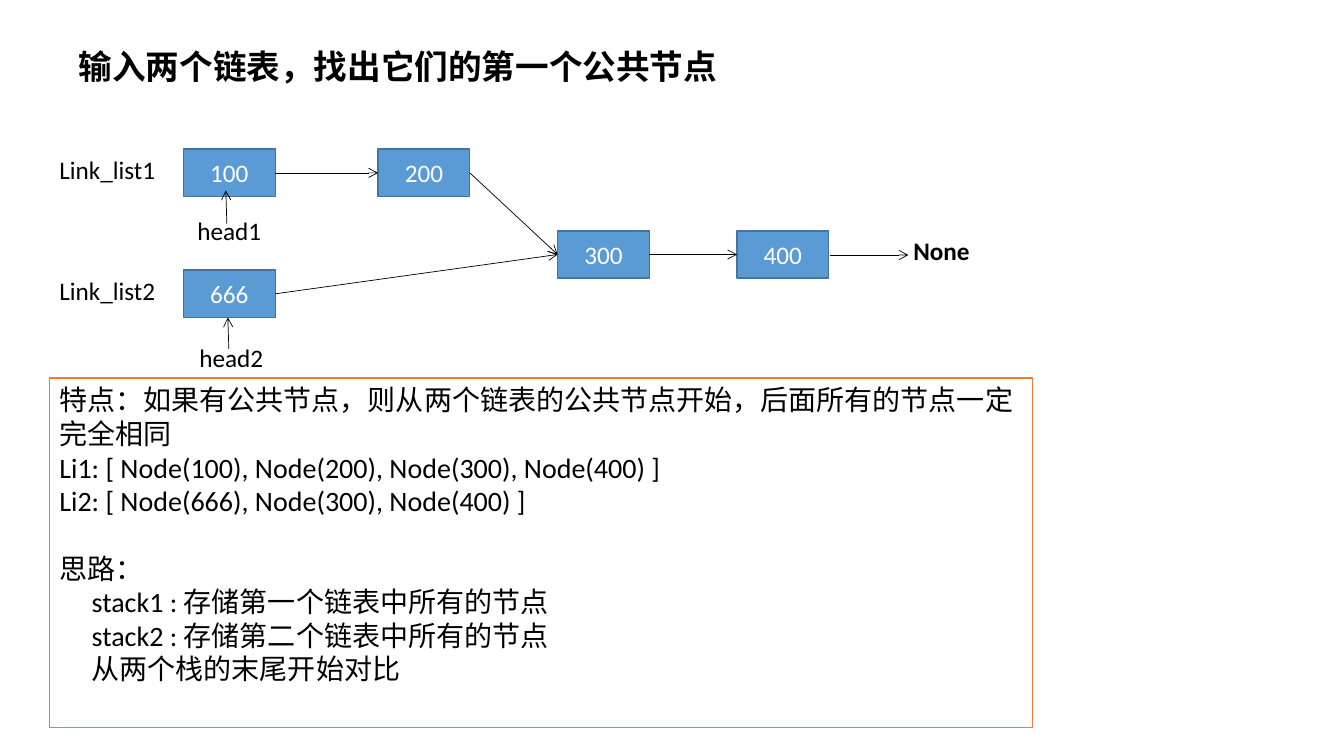
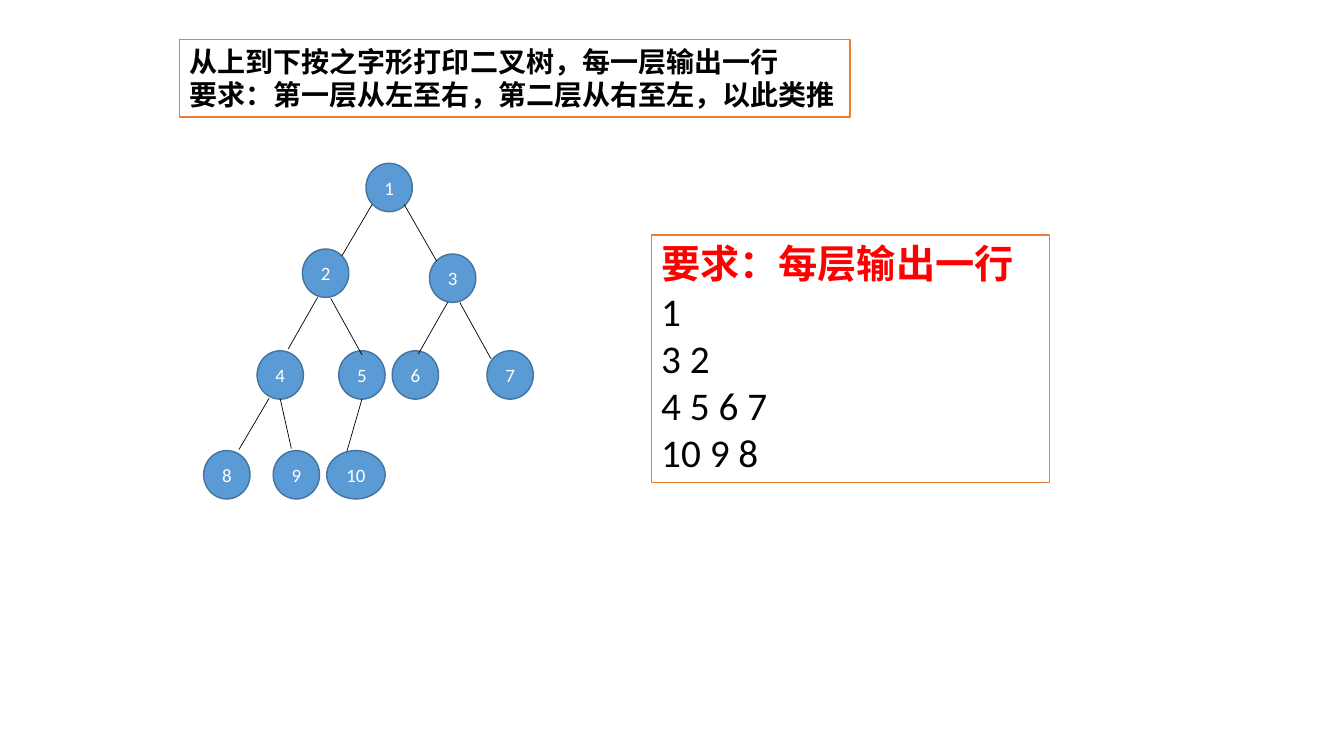
from lxml import etree
from pptx import Presentation
from pptx.dml.color import RGBColor
from pptx.enum.shapes import MSO_CONNECTOR, MSO_SHAPE
from pptx.enum.text import MSO_ANCHOR, MSO_AUTO_SIZE, PP_ALIGN
from pptx.oxml.ns import qn
from pptx.util import Inches, Pt

RECTANGLE = MSO_SHAPE.RECTANGLE
OVAL = MSO_SHAPE.OVAL
STRAIGHT = MSO_CONNECTOR.STRAIGHT
TOP = MSO_ANCHOR.TOP
MIDDLE = MSO_ANCHOR.MIDDLE
LEFT = PP_ALIGN.LEFT
CENTER = PP_ALIGN.CENTER
NO_AUTOFIT = MSO_AUTO_SIZE.NONE

BLACK = RGBColor(0x00, 0x00, 0x00)
WHITE = RGBColor(0xFF, 0xFF, 0xFF)
RED = RGBColor(0xFF, 0x00, 0x00)
BLUE = RGBColor(0x5B, 0x9B, 0xD5)
DARK_BLUE = RGBColor(0x43, 0x73, 0x9E)
ORANGE = RGBColor(0xED, 0x7D, 0x31)

FONT = "Calibri"
CJK_FONT = "Noto Sans CJK SC"
TITLE_ONLY = 5
LEFT_SITE, RIGHT_SITE = 1, 3
NODE_WIDTH, NODE_HEIGHT = 0.91, 0.47
CIRCLE_WIDTH, CIRCLE_HEIGHT = 0.46, 0.48


def box(left, top, width, height):
    return [Inches(value) for value in (left, top, width, height)]


def write_line(paragraph, text, size=18, color=BLACK, bold=False, align=LEFT,
               font=FONT, indent=0, space_before=0):
    paragraph.alignment = align
    paragraph.space_before = Pt(space_before)
    if indent:
        properties = paragraph._p.get_or_add_pPr()
        properties.set("marL", str(Inches(indent)))
        properties.set("indent", "0")
    run = paragraph.add_run()
    run.text = text
    run.font.name = font
    run.font.size = Pt(size)
    run.font.bold = bold
    run.font.color.rgb = color
    east_asian = etree.SubElement(run._r.get_or_add_rPr(), qn("a:ea"))
    east_asian.set("typeface", FONT)


def write_lines(shape, lines, anchor=TOP, wrap=True, **defaults):
    frame = shape.text_frame
    frame.auto_size = NO_AUTOFIT
    frame.word_wrap = wrap
    frame.vertical_anchor = anchor
    for index, (text, changes) in enumerate(lines):
        paragraph = frame.add_paragraph() if index else frame.paragraphs[0]
        write_line(paragraph, text, **{**defaults, **changes})


def paint(shape, fill, line):
    shape.fill.solid()
    shape.fill.fore_color.rgb = fill
    shape.line.color.rgb = line
    shape.line.width = Pt(1)


def place_title(slide, position, lines, **text_format):
    title = slide.shapes.title
    title.left, title.top, title.width, title.height = box(*position)
    write_lines(title, [(line, {}) for line in lines], wrap=False, bold=True,
                **text_format)
    return title


def add_label(slide, position, text, **text_format):
    label = slide.shapes.add_textbox(*box(*position))
    write_lines(label, [(text, {})], wrap=False, **text_format)


def add_node(slide, kind, position, text, size):
    node = slide.shapes.add_shape(kind, *box(*position))
    node.shadow.inherit = False
    paint(node, BLUE, DARK_BLUE)
    write_lines(node, [(text, {})], anchor=MIDDLE, wrap=kind == RECTANGLE,
                size=size, color=WHITE, align=CENTER)
    return node


def add_panel(slide, position, lines, **text_format):
    panel = slide.shapes.add_shape(RECTANGLE, *box(*position))
    panel.shadow.inherit = False
    paint(panel, WHITE, ORANGE)
    write_lines(panel, lines, **text_format)


def add_line(slide, start=(0, 0), end=(0, 0), arrow=False):
    connector = slide.shapes.add_connector(STRAIGHT, *box(*start, *end))
    connector.line.color.rgb = BLACK
    connector.line.width = Pt(0.5)
    if arrow:
        tail = etree.SubElement(connector.line._get_or_add_ln(), qn("a:tailEnd"))
        tail.set("type", "arrow")
    etree.SubElement(connector._element.spPr, qn("a:effectLst"))
    return connector


def link_nodes(slide, source, target):
    connector = add_line(slide, arrow=True)
    connector.begin_connect(source, RIGHT_SITE)
    connector.end_connect(target, LEFT_SITE)


def build_linked_lists(slide):
    place_title(slide, (0.68, 0.41, 6.63, 0.5),
                ["输入两个链表，找出它们的第一个公共节点"], size=24)

    places = {"100": (1.82, 1.48), "200": (3.75, 1.48), "300": (5.53, 2.29),
              "400": (7.31, 2.29), "666": (1.82, 2.68)}
    nodes = {value: add_node(slide, RECTANGLE,
                             (*place, NODE_WIDTH, NODE_HEIGHT), value, 18)
             for value, place in places.items()}
    for source, target in (("100", "200"), ("200", "300"),
                           ("300", "400"), ("666", "300")):
        link_nodes(slide, nodes[source], nodes[target])
    for start, end in (((8.23, 2.53), (9.01, 2.53)),
                       ((2.25, 2.22), (2.24, 1.89)),
                       ((2.27, 3.46), (2.26, 3.15))):
        add_line(slide, start, end, arrow=True)

    add_label(slide, (8.96, 2.29, 0.76, 0.4), "None", bold=True)
    add_label(slide, (0.49, 1.48, 1.16, 0.4), "Link_list1")
    add_label(slide, (0.49, 2.68, 1.16, 0.4), "Link_list2")
    add_label(slide, (1.86, 2.09, 0.84, 0.4), "head1")
    add_label(slide, (1.88, 3.35, 0.84, 0.4), "head2")

    step = {"indent": 0.32}
    add_panel(slide, (0.49, 3.75, 9.75, 3.47), [
        ("特点：如果有公共节点，则从两个链表的公共节点开始，后面所有的节点一定完全相同", {}),
        ("Li1: [ Node(100), Node(200), Node(300), Node(400) ]", {}),
        ("Li2: [ Node(666), Node(300), Node(400) ]", {}),
        ("思路：", {"space_before": 24}),
        ("stack1 : 存储第一个链表中所有的节点", step),
        ("stack2 : 存储第二个链表中所有的节点", step),
        ("从两个栈的末尾开始对比", step),
    ], size=20)


def build_binary_tree(slide):
    title = place_title(slide, (1.78, 0.39, 6.65, 0.77),
                        ["从上到下按之字形打印二叉树，每一层输出一行",
                         "要求：第一层从左至右，第二层从右至左，以此类推"],
                        size=20, font=CJK_FONT)
    paint(title, WHITE, ORANGE)

    places = [(3.63, 1.62), (3, 2.47), (4.26, 2.52), (2.55, 3.48), (3.36, 3.48),
              (3.89, 3.48), (4.83, 3.48), (2.02, 4.47), (2.71, 4.47), (3.24, 4.47)]
    for number, place in enumerate(places, 1):
        width = CIRCLE_WIDTH if number < 10 else 0.58
        add_node(slide, OVAL, (*place, width, CIRCLE_HEIGHT), str(number), 13.5)

    branches = [((3.69, 2.03), (3.39, 2.54)), ((4.01, 2.03), (4.33, 2.59)),
                ((3.15, 2.95), (2.86, 3.46)), ((3.28, 2.96), (3.59, 3.52)),
                ((4.44, 3), (4.15, 3.51)), ((4.56, 3), (4.87, 3.56)),
                ((2.67, 3.95), (2.37, 4.46)), ((2.78, 3.96), (2.89, 4.45)),
                ((3.59, 3.96), (3.44, 4.48))]
    for parent, child in branches:
        add_line(slide, parent, child)

    levels = [(text, {}) for text in ("1", "3 2", "4 5 6 7", "10 9 8")]
    heading = ("要求：每层输出一行", {"color": RED, "bold": True})
    add_panel(slide, (6.46, 2.33, 3.95, 2.46), [heading, *levels], size=28)


def main():
    presentation = Presentation()
    presentation.slide_width = Inches(13.33)
    presentation.slide_height = Inches(7.5)
    layout = presentation.slide_layouts[TITLE_ONLY]
    for build in (build_linked_lists, build_binary_tree):
        build(presentation.slides.add_slide(layout))
    presentation.save("out.pptx")


main()
